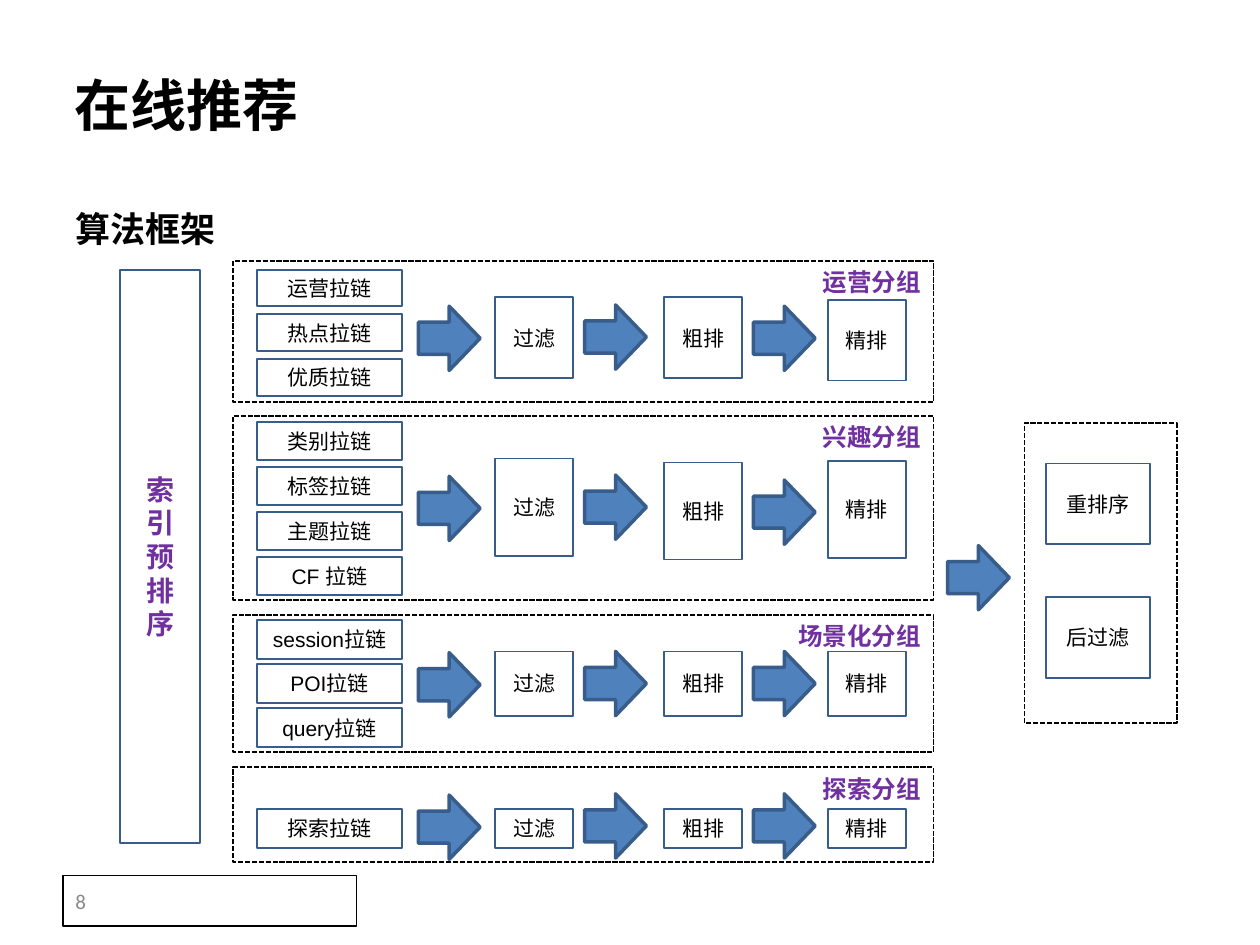
"""Build the online recommendation slide: index, four ranking groups and the final re-ranking."""
from lxml.etree import SubElement
from pptx import Presentation
from pptx.dml.color import RGBColor
from pptx.enum.dml import MSO_LINE
from pptx.enum.shapes import MSO_SHAPE
from pptx.enum.text import MSO_ANCHOR, MSO_AUTO_SIZE, PP_ALIGN
from pptx.oxml.ns import qn
from pptx.util import Inches, Pt

CJK = "Noto Sans CJK SC"
PURPLE, NAVY, BLUE, BLACK, WHITE = "7030A0", "385D8A", "4F81BD", "000000", "FFFFFF"
BOX, ARROW, FRAME = MSO_SHAPE.FLOWCHART_PROCESS, MSO_SHAPE.RIGHT_ARROW, MSO_SHAPE.RECTANGLE

prs = Presentation()
prs.slide_width, prs.slide_height = Inches(10), Inches(7.5)
col, row = prs.slide_width / 100, prs.slide_height / 75
s = prs.slides.add_slide(prs.slide_layouts[1])


def write(tf, text, size=12, color=BLACK, font="Arial", bold=False,
          align=PP_ALIGN.CENTER, anchor=MSO_ANCHOR.MIDDLE):
    tf.text = text
    tf.word_wrap, tf.vertical_anchor = True, anchor
    p = tf.paragraphs[0]
    p.alignment = align
    if font == CJK:
        SubElement(p.font._element, qn("a:ea"), typeface=font)
    p.font.size, p.font.bold, p.font.name = Pt(size), bold, font
    p.font.color.rgb = RGBColor.from_string(color)
    return p


def add(kind, x, y, w, h, fill=WHITE, line=NAVY, width=1, dash=None):
    sp = s.shapes.add_shape(kind, int(x * col), int(y * row), int(w * col), int(h * row))
    sp.shadow.inherit = False
    sp.fill.solid()
    sp.fill.fore_color.rgb = RGBColor.from_string(fill)
    sp.line.color.rgb = RGBColor.from_string(line)
    sp.line.width, sp.line.dash_style = Pt(width), dash
    return sp.text_frame


headings = [
    (s.shapes.title, "在线推荐", 32, 4.9, 5.1, 30, 6.4, 1),
    (s.placeholders[1], "算法框架", 20, 5, 14.3, 26.8, 6, 1.5),
]
for sp, text, size, x, y, w, h, spacing in headings:
    sp.left, sp.top, sp.width, sp.height = int(x * col), int(y * row), int(w * col), int(h * row)
    sp.text_frame.auto_size = MSO_AUTO_SIZE.NONE
    p = write(sp.text_frame, text, size, BLACK, CJK, True, PP_ALIGN.LEFT, MSO_ANCHOR.TOP)
    p.space_before, p.line_spacing = Pt(0), float(spacing)

pPr = p._p.get_or_add_pPr()
pPr.set("marL", "0")
pPr.set("indent", "0")
pPr.insert_element_before(pPr.makeelement(qn("a:buNone")), "a:tabLst", "a:defRPr", "a:extLst")

write(add(FRAME, 5, 69.5, 23.3, 4, line=BLACK, width=0.75),
      "8", 12, "898989", "Calibri", align=PP_ALIGN.LEFT)
tf = add(BOX, 9.5, 21.4, 6.4, 45.5)
tf.margin_left = tf.margin_right = Inches(0.15)
write(tf, "索引预排序", 16, PURPLE, bold=True)

groups = [
    ("运营分组", 20.7, 11.2, ["运营拉链", "热点拉链", "优质拉链"], 21.4, 3.55, 2.9,
     [24.3, 24.2, 24.3], [23.6, 23.6, 23.8], 6.4),
    ("兴趣分组", 33, 14.6, ["类别拉链", "标签拉链", "主题拉链", "CF 拉链"], 33.5, 3.57, 3,
     [37.8, 37.7, 38.1], [36.4, 36.7, 36.6], 7.7),
    ("场景化分组", 48.8, 10.9, ["session拉链", "POI拉链", "query拉链"], 49.2, 3.5, 3.1,
     [51.8, 51.7, 51.7], [51.7, 51.7, 51.7], 5.1),
    ("探索分组", 60.9, 7.5, ["探索拉链"], 64.2, 0, 3.1,
     [63.1, 63, 63], [64.2, 64.2, 64.2], 3.1),
]
stages = [("过滤", 33.2, 39.3), ("粗排", 46.4, 52.7), ("精排", 59.8, 65.7)]
for name, top, height, chains, first, step, chain_h, arrow_tops, stage_tops, stage_h in groups:
    write(add(FRAME, 18.5, top, 55.6, height, line=BLACK, dash=MSO_LINE.SQUARE_DOT),
          name, 14, PURPLE, CJK, True, PP_ALIGN.RIGHT, MSO_ANCHOR.TOP)
    for i, chain in enumerate(chains):
        write(add(BOX, 20.4, first + i * step, 11.5, chain_h), chain)
    for (stage, arrow_x, box_x), arrow_y, box_y in zip(stages, arrow_tops, stage_tops):
        add(ARROW, arrow_x, arrow_y, 4.9, 5.1, BLUE, width=2)
        write(add(BOX, box_x, box_y, 6.2, stage_h), stage)

add(ARROW, 75.2, 43.3, 4.9, 5.1, BLUE, width=2)
add(FRAME, 81.3, 33.6, 12.1, 23.8, line=BLACK, dash=MSO_LINE.SQUARE_DOT)
for text, y in [("重排序", 36.8), ("后过滤", 47.4)]:
    write(add(BOX, 83, y, 8.3, 6.4), text)

prs.save("out.pptx")
